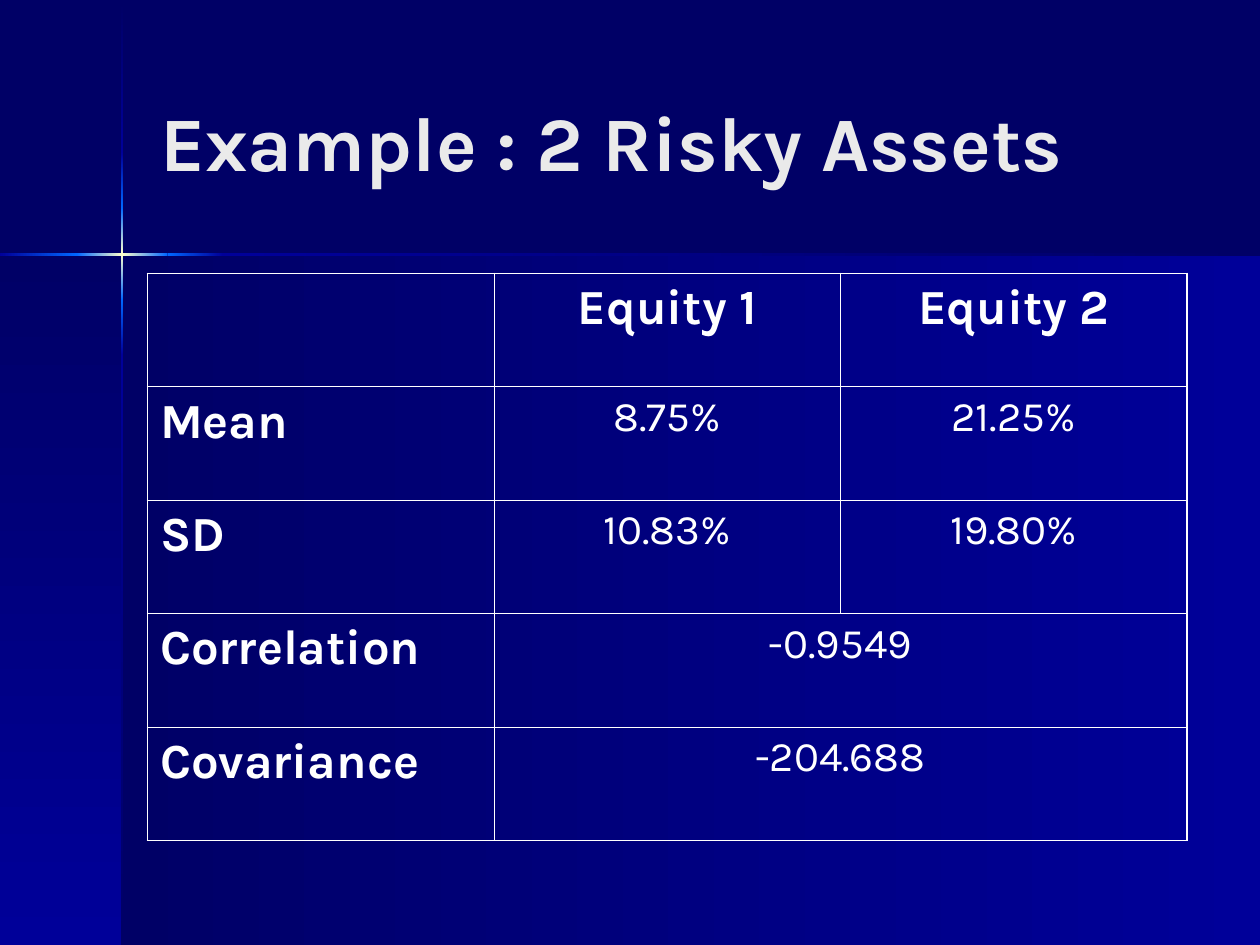
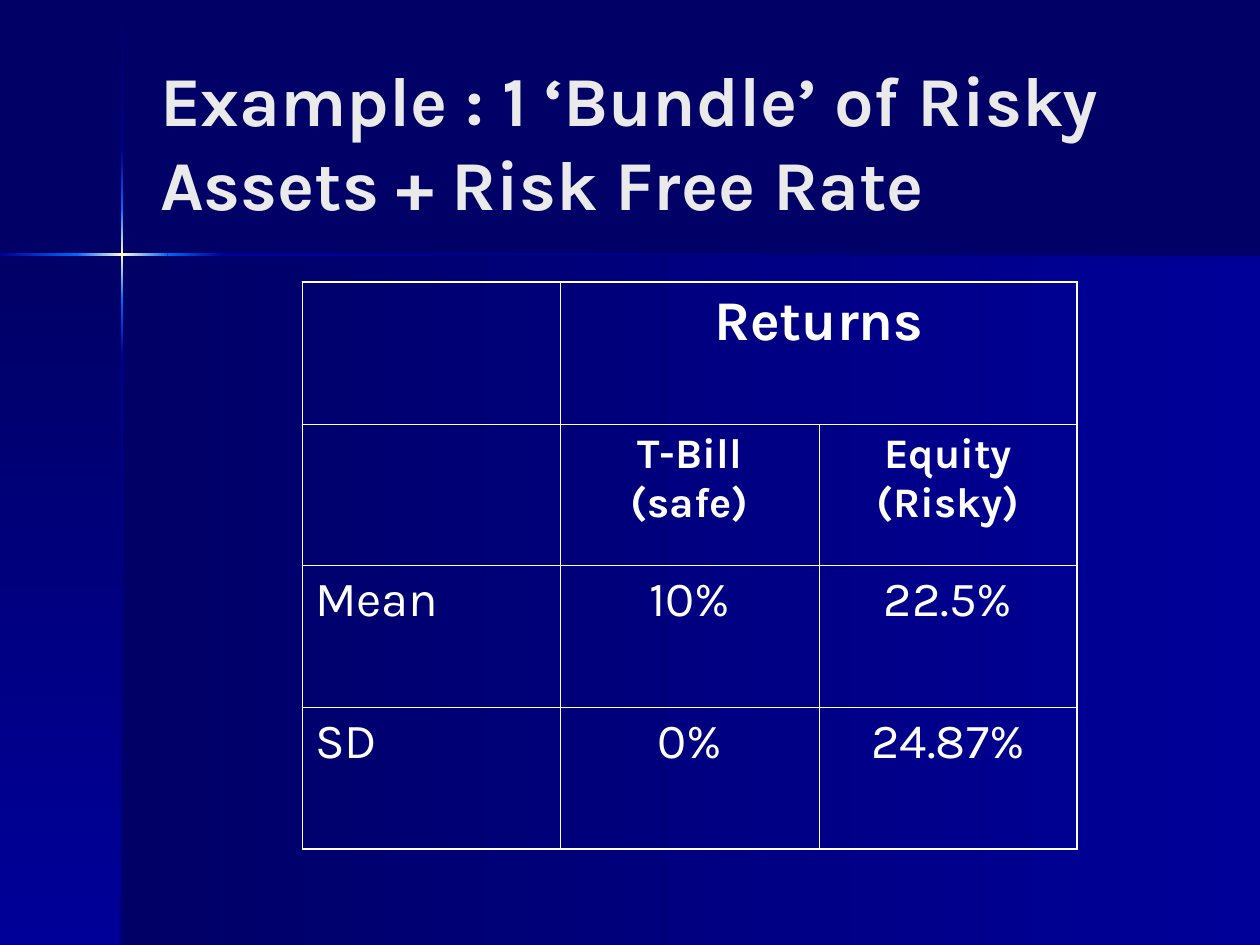
from copy import deepcopy
from itertools import pairwise

from lxml import etree
from pptx import Presentation
from pptx.dml.color import RGBColor
from pptx.enum import shapes, text
from pptx.oxml import ns
from pptx.util import Inches, Pt

NIGHT = RGBColor(0x00, 0x00, 0x66)
ROYAL = RGBColor(0x00, 0x00, 0x99)
AZURE = RGBColor(0x00, 0x66, 0xFF)
CREAM = RGBColor(0xFF, 0xFF, 0xCC)
SILVER = RGBColor(0xEA, 0xEA, 0xEA)
WHITE = RGBColor(0xFF, 0xFF, 0xFF)
FONT = "Karla"

# Text styles of the table cells: size and weight
BANNER = {"size": Pt(32), "bold": True}
HEAD = {"size": Pt(28), "bold": True}
SUBHEAD = {"size": Pt(24), "bold": True}
LARGE = {"size": Pt(28), "bold": False}
VALUE = {"size": Pt(24), "bold": False}

# Content: a cell is (text, style); None continues the cell on its left
EMPTY = ("", VALUE)
SLIDES = [
    {
        "title": "Example : 2 Risky Assets",
        "title_size": 44, "title_width": 8.25,
        "table_at": (1.17, 2.17), "column": 2.75, "row": 0.9,
        "rows": [
            [EMPTY, ("Equity 1", HEAD), ("Equity 2", HEAD)],
            [("Mean", HEAD), ("8.75%", VALUE), ("21.25%", VALUE)],
            [("SD", HEAD), ("10.83%", VALUE), ("19.80%", VALUE)],
            [("Correlation", HEAD), ("-0.9549", VALUE), None],
            [("Covariance", HEAD), ("-204.688", VALUE), None],
        ],
    },
    {
        "title": "Example : 1 ‘Bundle’ of Risky Assets + Risk Free Rate",
        "title_size": 40, "title_width": 8.56,
        "table_at": (2.4, 2.24), "column": 2.05, "row": 1.125,
        "rows": [
            [EMPTY, ("Returns", BANNER), None],
            [EMPTY, ("T-Bill (safe)", SUBHEAD), ("Equity (Risky)", SUBHEAD)],
            [("Mean", LARGE), ("10%", LARGE), ("22.5%", LARGE)],
            [("SD", LARGE), ("0%", LARGE), ("24.87%", LARGE)],
        ],
    },
]

# Backdrop: two panels, and two light rays that cross at CROSS
WIDTH, HEIGHT = 10, 7.5
CROSS = (0.97, 2.02)
RAY = 0.02
RIGHT, DOWN = 0, 90
GLOW = [AZURE, CREAM, AZURE]
RISE, FALL = [ROYAL, AZURE], [AZURE, ROYAL]
ACROSS_STOPS = [0, 0.61, 1.33, 1.77, WIDTH]
ACROSS_COLOURS = [RISE, GLOW, FALL, [ROYAL, NIGHT]]
DOWN_STOPS = [0.01, 1.21, 1.65, 2.38, 2.82, HEIGHT]
DOWN_COLOURS = [[NIGHT, ROYAL], RISE, GLOW, FALL, [ROYAL, NIGHT]]


def apply(target, **values):
    for name, value in values.items():
        setattr(target, name, value)


def add_band(page, left, top, width, height, colours, angle):
    """A borderless rectangle with evenly spaced gradient colours."""
    band = page.shapes.add_shape(
        shapes.MSO_SHAPE.RECTANGLE, *map(Inches, (left, top, width, height)))
    band.shadow.inherit = False
    band.line.fill.background()
    band.fill.gradient()
    band.fill.gradient_angle = -angle % 360
    stops = band.element.find(".//" + ns.qn("a:gsLst"))
    while len(stops) < len(colours):
        stops.append(deepcopy(stops[-1]))
    for index, (stop, colour) in enumerate(zip(band.fill.gradient_stops, colours)):
        stop.position = index / (len(colours) - 1)
        stop.color.rgb = colour
    return band


def add_backdrop(page, master):
    """Draw the bands on a page, then move them to the back of the master."""
    x, y = CROSS
    bands = [
        add_band(page, x, y, WIDTH - x, HEIGHT - y, [NIGHT, ROYAL], RIGHT),
        add_band(page, 0, y, x, HEIGHT - y, [NIGHT, ROYAL], DOWN),
    ]
    for (start, end), colours in zip(pairwise(DOWN_STOPS), DOWN_COLOURS):
        bands.append(add_band(page, x - RAY / 2, start, RAY, end - start, colours, DOWN))
    for (start, end), colours in zip(pairwise(ACROSS_STOPS), ACROSS_COLOURS):
        bands.append(add_band(page, start, y - RAY / 2, end - start, RAY, colours, RIGHT))
    for place, band in enumerate(bands, start=2):
        master.shapes.element.insert(place, band.element)


def write(para, words, size, bold, colour):
    span = para.add_run()
    span.text = words
    apply(span.font, name=FONT, size=size, bold=bold)
    span.font.color.rgb = colour


def add_title(page, content):
    title = page.shapes.title
    apply(title, left=Inches(1.17), top=Inches(0.33),
          width=Inches(content["title_width"]), height=Inches(1.57))
    apply(title.text_frame, word_wrap=True, auto_size=text.MSO_AUTO_SIZE.NONE,
          vertical_anchor=text.MSO_ANCHOR.MIDDLE)
    para = title.text_frame.paragraphs[0]
    para.alignment = text.PP_ALIGN.LEFT
    write(para, content["title"], Pt(content["title_size"]), True, SILVER)


def set_borders(cell, edges):
    """edges maps a side (L, R, T, B) to True where it is an outer edge."""
    properties = cell._tc.get_or_add_tcPr()
    for side, outer in edges.items():
        line = etree.SubElement(properties, ns.qn(f"a:ln{side}"),
                                w=str(Pt(1.08 if outer else 0.45)))
        fill = etree.SubElement(line, ns.qn("a:solidFill"))
        etree.SubElement(fill, ns.qn("a:srgbClr"), val=str(WHITE))


def add_grid(page, content):
    rows = content["rows"]
    last_row, last_column = len(rows) - 1, len(rows[0]) - 1
    left, top = map(Inches, content["table_at"])
    column, row = Inches(content["column"]), Inches(content["row"])
    table = page.shapes.add_table(len(rows), len(rows[0]), left, top,
                                  column * len(rows[0]), row * len(rows)).table
    apply(table, first_row=False, horz_banding=False)
    for r, cells in enumerate(rows):
        for c, entry in enumerate(cells):
            cell = table.cell(r, c)
            if entry is None:
                table.cell(r, c - 1).merge(cell)
            joined = c < last_column and cells[c + 1] is None
            edges = {"L": c == 0, "R": joined or c == last_column,
                     "T": r == 0, "B": r == last_row}
            if entry is None:
                del edges["L"]
            set_borders(cell, edges)
            cell.fill.background()
            if entry and entry[0]:
                words, style = entry
                para = cell.text_frame.paragraphs[0]
                apply(para, space_before=style["size"] // 4,
                      alignment=text.PP_ALIGN.CENTER if c else text.PP_ALIGN.LEFT)
                write(para, words, colour=WHITE, **style)


def main():
    deck = Presentation()
    apply(deck, slide_width=Inches(WIDTH), slide_height=Inches(HEIGHT))
    master = deck.slide_master
    master.background.fill.solid()
    master.background.fill.fore_color.rgb = NIGHT
    title_only = deck.slide_layouts[5]
    pages = [deck.slides.add_slide(title_only) for _ in SLIDES]
    add_backdrop(pages[0], master)
    for page, content in zip(pages, SLIDES):
        add_title(page, content)
        add_grid(page, content)
    deck.save("out.pptx")


if __name__ == "__main__":
    main()
